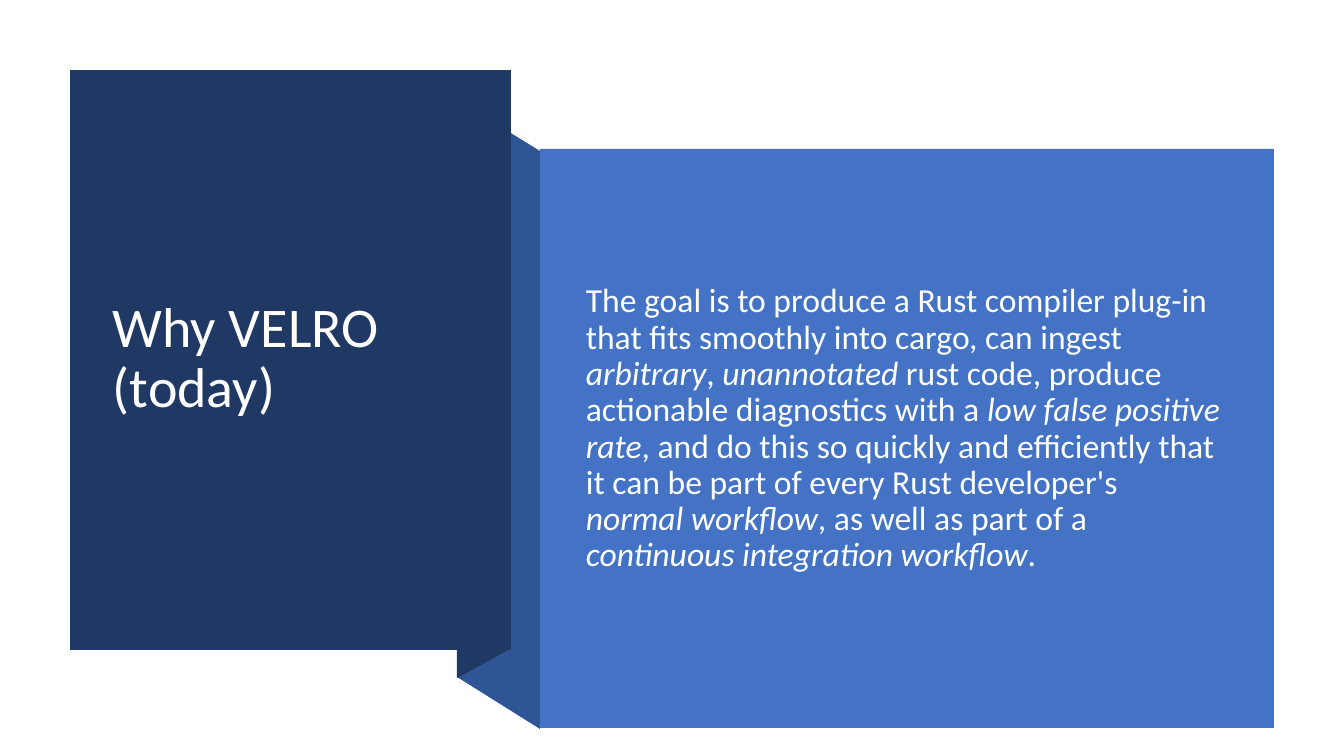
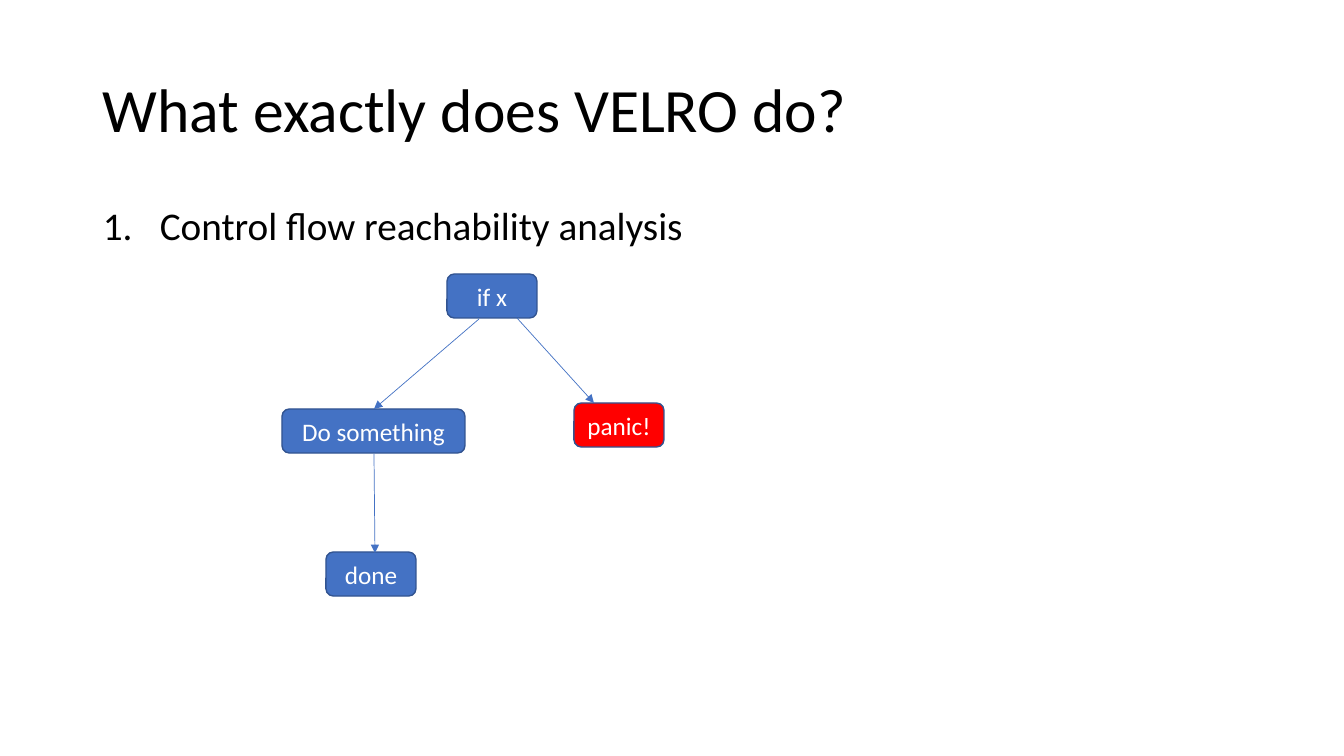
from lxml.etree import SubElement
from pptx import Presentation
from pptx.dml.color import RGBColor
from pptx.enum.shapes import MSO_CONNECTOR, MSO_SHAPE
from pptx.enum.text import MSO_ANCHOR as ANCHOR, PP_ALIGN as ALIGN
from pptx.oxml.ns import qn
from pptx.util import Pt

# Shared scale, colours and text styles
PIXEL = 914400 / 100.8
FONT = "Calibri"
COLORS = {
    "navy": "203864", "fold": "2F5597", "blue": "4472C4", "outline": "325491",
    "red": "FF0000", "white": "FFFFFF", "soft white": "FEFFFF", "black": "000000",
}
TITLE = {"line_spacing": 0.9}
BODY = {"line_spacing": 0.9, "space_before": Pt(10)}
LABEL = {"alignment": ALIGN.CENTER}


def paint(shape, fill, outline=None):
    """Give a shape a flat fill and an optional outline."""
    shape.shadow.inherit = False
    shape.fill.solid()
    shape.fill.fore_color.rgb = RGBColor.from_string(COLORS[fill])
    if outline:
        shape.line.color.rgb = RGBColor.from_string(COLORS[outline])
        shape.line.width = Pt(1)
    else:
        shape.line.fill.background()


def write(shape, runs, size, color, paragraph_format, anchor=ANCHOR.MIDDLE):
    """Fill a shape with one paragraph of (text, italic) runs."""
    frame = shape.text_frame
    frame.word_wrap = True
    frame.vertical_anchor = anchor
    paragraph = frame.paragraphs[0]
    for name, value in paragraph_format.items():
        setattr(paragraph, name, value)
    for text, italic in runs:
        run = paragraph.add_run()
        run.text = text
        run_format = {"name": FONT, "size": Pt(size), "italic": italic}
        for name, value in run_format.items():
            setattr(run.font, name, value)
        run.font.color.rgb = RGBColor.from_string(COLORS[color])
    return paragraph


presentation = Presentation()
presentation.slide_width = round(1344 * PIXEL)
presentation.slide_height = round(756 * PIXEL)
blank = presentation.slide_layouts[6]
goal_slide, flow_slide = [presentation.slides.add_slide(blank) for _ in range(2)]

# Slide 1: folded ribbon between the two panels
folds = [
    ("fold", [(540, 729), (457, 677), (457, 100), (540, 151)]),
    ("navy", [(510, 649), (457, 678), (457, 99), (510, 70)]),
]
for color, points in folds:
    builder = goal_slide.shapes.build_freeform(*points[0], scale=PIXEL)
    builder.add_line_segments(points[1:], close=True)
    paint(builder.convert_to_shape(), color)

panels = [("navy", (70, 70, 441, 580)), ("blue", (540, 149, 734, 579))]
for color, box in panels:
    panel = goal_slide.shapes.add_shape(
        MSO_SHAPE.RECTANGLE, *[round(length * PIXEL) for length in box])
    paint(panel, color)

# Text of both slides
goal = [
    ("The goal is to produce a Rust compiler plug-in that fits smoothly into "
     "cargo, can ingest ", False),
    ("arbitrary", True), (", ", False), ("unannotated", True),
    (" rust code, produce actionable diagnostics with a ", False),
    ("low false positive rate", True),
    (", and do this so quickly and efficiently that it can be part of every "
     "Rust developer's ", False),
    ("normal workflow", True), (", as well as part of a ", False),
    ("continuous integration workflow", True), (".", False),
]
texts = [
    (goal_slide, (103, 108, 374, 503), [("Why VELRO (today)", False)],
     40, "white", TITLE, ANCHOR.MIDDLE),
    (goal_slide, (576, 190, 656, 478), goal, 24, "soft white", BODY, ANCHOR.MIDDLE),
    (flow_slide, (93, 40, 1159, 146), [("What exactly does VELRO do?", False)],
     44, "black", TITLE, ANCHOR.MIDDLE),
    (flow_slide, (93, 202, 1159, 480), [("Control flow reachability analysis", False)],
     28, "black", BODY, ANCHOR.TOP),
]
for slide, box, *text_format in texts:
    text_box = slide.shapes.add_textbox(*[round(length * PIXEL) for length in box])
    paragraph = write(text_box, *text_format)

# Slide 2: number the single list item
indent = round(57 * PIXEL)
properties = paragraph._p.get_or_add_pPr()
properties.set("marL", str(indent))
properties.set("indent", str(-indent))
SubElement(properties, qn("a:buFont"), typeface="+mj-lt")
SubElement(properties, qn("a:buAutoNum"), type="arabicPeriod")

# Control flow steps
steps = [
    ("if x", 447, 274, 90, "blue"),
    ("Do something", 282, 409, 183, "blue"),
    ("panic!", 574, 403, 90, "red"),
    ("done", 326, 552, 90, "blue"),
]
for label, left, top, width, color in steps:
    step = flow_slide.shapes.add_shape(
        MSO_SHAPE.ROUNDED_RECTANGLE,
        *[round(length * PIXEL) for length in (left, top, width, 44)])
    paint(step, color, "outline")
    write(step, [(label, False)], 18, "white", LABEL)

# Arrows between the steps
arrows = [(517, 318, 594, 403), (479, 319, 374, 409), (374, 454, 375, 553)]
for ends in arrows:
    arrow = flow_slide.shapes.add_connector(
        MSO_CONNECTOR.STRAIGHT, *[round(length * PIXEL) for length in ends])
    arrow.line.color.rgb = RGBColor.from_string(COLORS["blue"])
    arrow.line.width = Pt(0.5)
    SubElement(arrow.line._get_or_add_ln(), qn("a:tailEnd"), type="triangle")
    SubElement(arrow._element.spPr, qn("a:effectLst"))

presentation.save("out.pptx")
